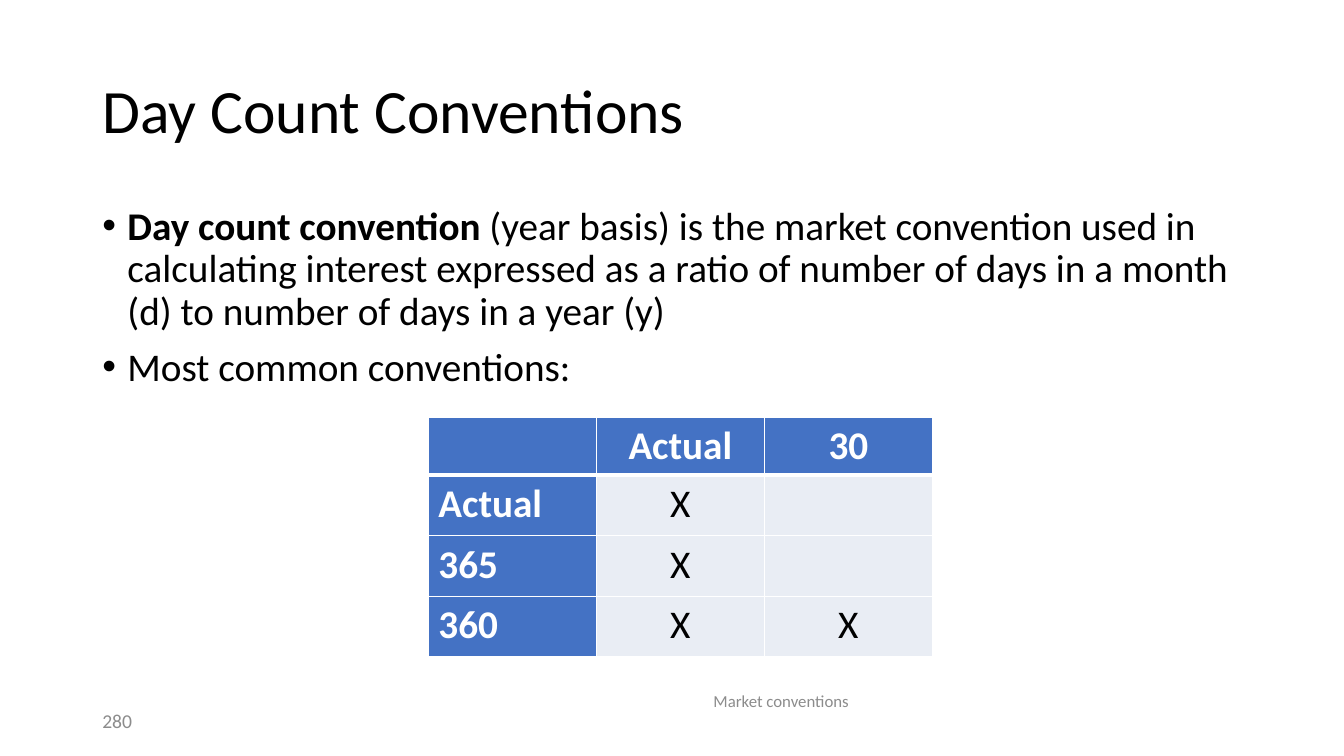
from dataclasses import dataclass

from lxml import etree
from pptx import Presentation
from pptx.dml.color import RGBColor
from pptx.enum.text import MSO_ANCHOR, MSO_AUTO_SIZE, PP_ALIGN
from pptx.oxml.ns import qn
from pptx.util import Pt

LEFT, CENTER = PP_ALIGN.LEFT, PP_ALIGN.CENTER
TOP, MIDDLE = MSO_ANCHOR.TOP, MSO_ANCHOR.MIDDLE
NO_FIT = MSO_AUTO_SIZE.NONE


@dataclass(frozen=True)
class Theme:
    face: str = "Calibri"
    ink: str = "000000"
    paper: str = "FFFFFF"
    blue: str = "4472C4"
    pale: str = "E9EDF4"
    gray: str = "8C8C8C"
    title: int = 44
    body: int = 28
    page: int = 14
    foot: int = 12


theme = Theme()


def style(para, size, color, align=LEFT, bold=False):
    para.alignment = align
    font = para.font
    font.name, font.size, font.bold = theme.face, Pt(size), bold
    font.color.rgb = RGBColor.from_string(color)


def place(box, left, top, width, height, anchor):
    """Set the bounds of a text shape and return its wrapped frame."""
    box.left, box.top = Pt(left), Pt(top)
    box.width, box.height = Pt(width), Pt(height)
    frame = box.text_frame
    frame.word_wrap, frame.auto_size = True, NO_FIT
    frame.vertical_anchor = anchor
    return frame


deck = Presentation()
deck.slide_width, deck.slide_height = Pt(960), Pt(540)
slide = deck.slides.add_slide(deck.slide_layouts[5])
shapes = slide.shapes

# Title
frame = place(shapes.title, 66, 28.8, 828, 104.4, MIDDLE)
frame.text = "Day Count Conventions"
head = frame.paragraphs[0]
head.line_spacing = 0.9
style(head, theme.title, theme.ink)

# Bullets: each is a bold lead and the rest
points = [
    ("Day count convention ",
     "(year basis) is the market convention used in calculating interest "
     "expressed as a ratio of number of days in a month (d) to number of "
     "days in a year (y)"),
    ("", "Most common conventions:"),
]
frame = place(shapes.add_textbox(0, 0, 0, 0), 66, 144, 828, 342.7, TOP)
for i, (lead, rest) in enumerate(points):
    para = frame.add_paragraph() if i else frame.paragraphs[0]
    para.line_spacing = 0.9
    if i:
        para.space_before = Pt(10)
    props = para._p.get_or_add_pPr()
    props.set("marL", str(Pt(18)))
    props.set("indent", str(Pt(-18)))
    etree.SubElement(props, qn("a:buFont"), typeface="Arial")
    etree.SubElement(props, qn("a:buChar"), char="•")
    style(para, theme.body, theme.ink)
    if lead:
        run = para.add_run()
        run.text, run.font.bold = lead, True
    para.add_run().text = rest

# Page number and footer
for text, size, align, bounds in [
    ("280", theme.page, LEFT, (66, 500.5, 216, 28.8)),
    ("Market conventions", theme.foot, CENTER, (276.5, 484, 563, 33.8)),
]:
    frame = place(shapes.add_textbox(0, 0, 0, 0), *bounds, MIDDLE)
    frame.text = text
    style(frame.paragraphs[0], size, theme.gray, align)

# Table of day counts
rows = [
    ("", "Actual", "30"),
    ("Actual", "X", ""),
    ("365", "X", ""),
    ("360", "X", "X"),
]
grid = shapes.add_table(4, 3, Pt(306), Pt(298), Pt(360), Pt(170.6)).table
for col in grid.columns:
    col.width = Pt(120)
for r, row in enumerate(rows):
    grid.rows[r].height = Pt(43.2 if r else 41)
    for c, text in enumerate(row):
        cell = grid.cell(r, c)
        label = r == 0 or c == 0
        props = cell._tc.get_or_add_tcPr()
        thick = {"lnT": r == 1, "lnB": r == 0}
        for side in ("lnL", "lnR", "lnT", "lnB"):
            width = Pt(3 if thick.get(side) else 1)
            line = etree.SubElement(props, qn("a:" + side), w=str(width))
            fill = etree.SubElement(line, qn("a:solidFill"))
            etree.SubElement(fill, qn("a:srgbClr"), val=theme.paper)
        cell.fill.solid()
        shade = theme.blue if label else theme.pale
        cell.fill.fore_color.rgb = RGBColor.from_string(shade)
        cell.text = text
        style(cell.text_frame.paragraphs[0], theme.body,
              theme.paper if label else theme.ink,
              CENTER if c else LEFT, label)

deck.save("out.pptx")
